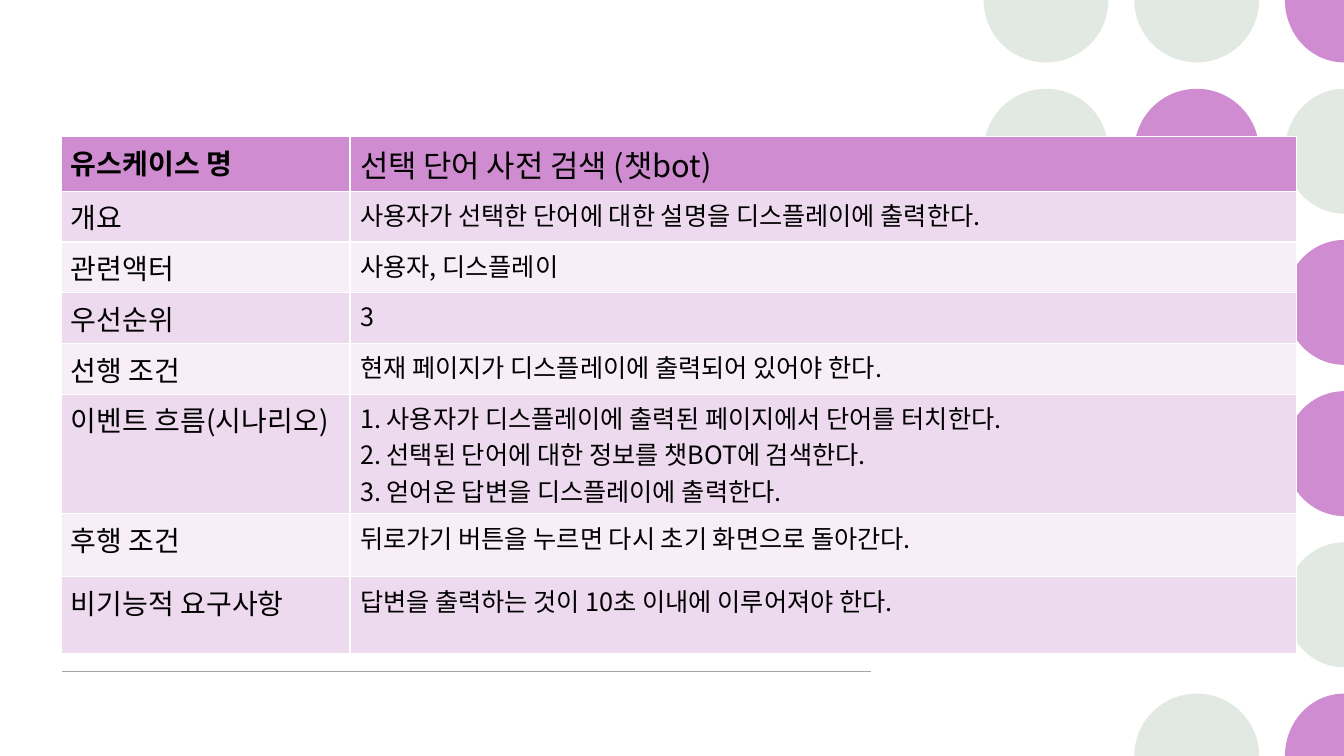
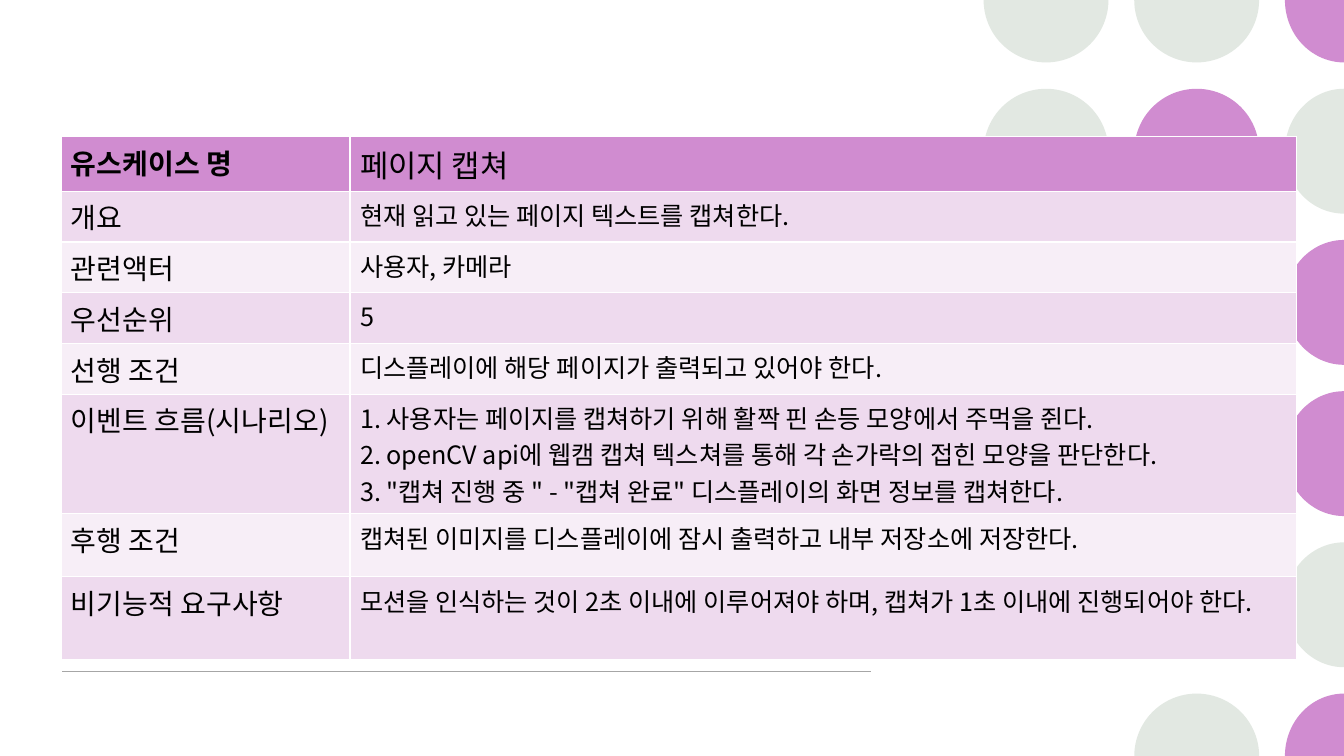
import math

import pptx
import pptx.dml.color
import pptx.enum.shapes
import pptx.oxml.ns
import pptx.util
from lxml import etree

Pt = pptx.util.Pt
RGB = pptx.dml.color.RGBColor.from_string
qn = pptx.oxml.ns.qn

WIDTH, HEIGHT = 960, 540
FONT = "Noto Sans CJK KR"
COLORS = {
    "orchid": "D08CD0",
    "sage": "E2E8E2",
    "band_dark": "EEDAEE",
    "band_light": "F7EEF7",
    "rule": "A6A6A6",
    "text": "000000",
}

# One line per row of dots: s = sage, o = orchid, . = none
DOTS = ["sso", "sos", "..o", "..o", "..s", ".so"]
DOT_COLORS = {"s": "sage", "o": "orchid"}
DOT_LEFT, DOT_DX, DOT_DY, DOT_RADIUS = 747.2, 107.6, 108, 44.6

TABLE_LEFT, TABLE_TOP = 43.5, 97.5
COL_WIDTHS = [206.5, 676]
ROW_HEIGHTS = [39, 36, 36, 36, 36, 85.5, 45, 55]
LABELS = ["유스케이스 명", "개요", "관련액터", "우선순위", "선행 조건",
          "이벤트 흐름(시나리오)", "후행 조건", "비기능적 요구사항"]
USE_CASES = [
    [
        "선택 단어 사전 검색 (챗bot)",
        "사용자가 선택한 단어에 대한 설명을 디스플레이에 출력한다.",
        "사용자, 디스플레이",
        "3",
        "현재 페이지가 디스플레이에 출력되어 있어야 한다.",
        "1. 사용자가 디스플레이에 출력된 페이지에서 단어를 터치한다.\n"
        "2. 선택된 단어에 대한 정보를 챗BOT에 검색한다.\n"
        "3. 얻어온 답변을 디스플레이에 출력한다.",
        "뒤로가기 버튼을 누르면 다시 초기 화면으로 돌아간다.",
        "답변을 출력하는 것이 10초 이내에 이루어져야 한다.",
    ],
    [
        "페이지 캡쳐",
        "현재 읽고 있는 페이지 텍스트를 캡쳐한다.",
        "사용자, 카메라",
        "5",
        "디스플레이에 해당 페이지가 출력되고 있어야 한다.",
        "1. 사용자는 페이지를 캡쳐하기 위해 활짝 핀 손등 모양에서 주먹을 쥔다.\n"
        "2. openCV api에 웹캠 캡쳐 텍스쳐를 통해 각 손가락의 접힌 모양을 판단한다.\n"
        '3. "캡쳐 진행 중 " - "캡쳐 완료" 디스플레이의 화면 정보를 캡쳐한다.',
        "캡쳐된 이미지를 디스플레이에 잠시 출력하고 내부 저장소에 저장한다.",
        "모션을 인식하는 것이 2초 이내에 이루어져야 하며, 캡쳐가 1초 이내에 진행되어야 한다.",
    ],
]


def add_dot(shapes, cx, cy, color):
    """Draw a circle, or the half or quarter of it that lies on the slide."""
    r = DOT_RADIUS
    at_top, at_bottom, at_right = cy < r, cy > HEIGHT - r, cx > WIDTH - r
    if not (at_top or at_bottom or at_right):
        sp = shapes.add_shape(pptx.enum.shapes.MSO_SHAPE.OVAL,
                              Pt(cx - r), Pt(cy - r), Pt(2 * r), Pt(2 * r))
    else:
        left = cx - r
        cx = min(cx, WIDTH)
        rx = cx - left
        right = cx if at_right else cx + rx
        top = cy if at_top else cy - r
        bottom = cy if at_bottom else cy + r
        start = 180 if at_bottom else 90 if at_right else 0
        sweep = 90 if at_right and (at_top or at_bottom) else 180
        angle = math.radians(start)
        # The box corners fix the size; the arc then takes their place.
        points = [(left, top), (right, top), (right, bottom), (left, bottom), (cx, cy)]
        builder = shapes.build_freeform(Pt(cx + rx * math.cos(angle)),
                                        Pt(cy + r * math.sin(angle)))
        builder.add_line_segments([(Pt(x), Pt(y)) for x, y in points], close=True)
        sp = builder.convert_to_shape()
        outline = next(sp._element.iter(qn("a:pathLst")))[0]
        for line in outline.findall(qn("a:lnTo"))[:-1]:
            outline.remove(line)
        outline[0].addnext(etree.Element(
            qn("a:arcTo"), wR=str(Pt(rx)), hR=str(Pt(r)),
            stAng=str(start * 60000), swAng=str(sweep * 60000)))
    sp.shadow.inherit = False
    sp.fill.solid()
    sp.fill.fore_color.rgb = RGB(COLORS[color])
    sp.line.fill.background()


def format_cell(cell, color, size, bold):
    cell.fill.solid()
    cell.fill.fore_color.rgb = RGB(COLORS[color])
    for p in cell.text_frame.paragraphs:
        for r in p.runs:
            r.font.size = Pt(size)
            r.font.bold = bold
            r.font.name = FONT
            r.font.color.rgb = RGB(COLORS["text"])
            ea = etree.Element(qn("a:ea"), typeface=FONT)
            r.font._element.find(qn("a:latin")).addnext(ea)


prs = pptx.Presentation()
prs.slide_width, prs.slide_height = Pt(WIDTH), Pt(HEIGHT)

for values in USE_CASES:
    s = prs.slides.add_slide(prs.slide_layouts[6])

    for i, dot_row in enumerate(DOTS):
        for j, key in enumerate(dot_row):
            if key in DOT_COLORS:
                add_dot(s.shapes, DOT_LEFT + j * DOT_DX, i * DOT_DY, DOT_COLORS[key])

    rule = s.shapes.add_connector(pptx.enum.shapes.MSO_CONNECTOR.STRAIGHT,
                                  Pt(44.5), Pt(479.5), Pt(622), Pt(479.5))
    rule.line.color.rgb = RGB(COLORS["rule"])
    rule.line.width = Pt(1)
    etree.SubElement(rule._element.spPr, qn("a:effectLst"))

    # The default table style supplies the white cell borders.
    table = s.shapes.add_table(len(LABELS), 2, Pt(TABLE_LEFT), Pt(TABLE_TOP),
                               Pt(sum(COL_WIDTHS)), Pt(sum(ROW_HEIGHTS))).table
    for column, width in zip(table.columns, COL_WIDTHS):
        column.width = Pt(width)
    for i, (label, value) in enumerate(zip(LABELS, values)):
        table.rows[i].height = Pt(ROW_HEIGHTS[i])
        label_cell, value_cell = table.cell(i, 0), table.cell(i, 1)
        label_cell.text_frame.text = label
        value_cell.text_frame.text = value
        color = "orchid" if i == 0 else "band_dark" if i % 2 else "band_light"
        format_cell(label_cell, color, 20, bold=i == 0)
        format_cell(value_cell, color, 22 if i == 0 else 18, bold=False)

prs.save("out.pptx")
